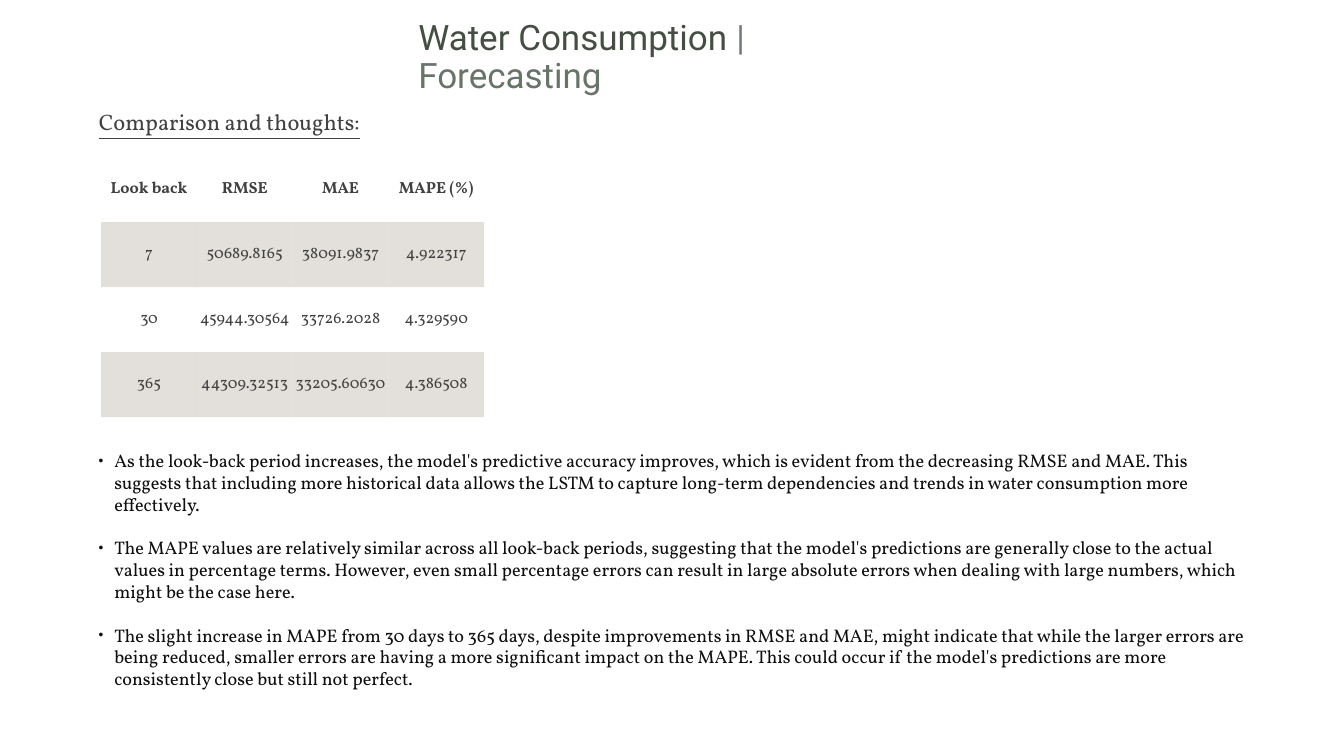
from dataclasses import dataclass

from lxml.etree import SubElement
from pptx import Presentation
from pptx.dml.color import RGBColor
from pptx.enum.text import MSO_ANCHOR, MSO_AUTO_SIZE, PP_ALIGN
from pptx.oxml.ns import qn
from pptx.util import Cm, Pt


@dataclass(frozen=True)
class Theme:
    heading_font: str = "Roboto"
    body_font: str = "Vollkorn"
    bullet_font: str = "Arial"
    title: str = "444E42"
    divider: str = "6F7D71"
    subtitle: str = "677468"
    text: str = "414141"
    body: str = "0F0F0F"
    band: str = "C9C3BA"
    title_size: int = 50
    section_size: int = 32
    body_size: int = 26
    table_size: int = 23


THEME = Theme()
INSET = Cm(0.15)
NO_STYLE_NO_GRID = "{2D5ABB26-0587-4C30-8999-92F81FD0307C}"


def write(p, text, size, color, font=THEME.body_font, bold=False, underline=False):
    r = p.add_run()
    r.text = text
    r.font.size = Pt(size)
    r.font.name = font
    r.font.color.rgb = RGBColor.from_string(color)
    r.font.bold = bold
    r.font.underline = underline


def add_text_frame(slide, left, top, width, height, wrap=True,
                   auto_size=MSO_AUTO_SIZE.SHAPE_TO_FIT_TEXT):
    tf = slide.shapes.add_textbox(Cm(left), Cm(top), Cm(width), Cm(height)).text_frame
    tf.margin_left = tf.margin_right = tf.margin_top = tf.margin_bottom = INSET
    tf.vertical_anchor = MSO_ANCHOR.MIDDLE
    tf.auto_size = auto_size
    tf.word_wrap = wrap
    return tf


prs = Presentation()
prs.slide_width, prs.slide_height = Cm(67.73), Cm(38.1)
slide = prs.slides.add_slide(prs.slide_layouts[6])

# Results table
results = [
    ("Look back", "RMSE", "MAE", "MAPE (%)"),
    ("7", "50689.8165", "38091.9837", "4.922317"),
    ("30", "45944.30564", "33726.2028", "4.329590"),
    ("365", "44309.32513", "33205.60630", "4.386508"),
]
frame = slide.shapes.add_table(
    len(results), len(results[0]), Cm(5.1), Cm(7.92), Cm(19.3), Cm(13.1))
frame.element.xpath(".//a:tableStyleId")[0].text = NO_STYLE_NO_GRID
table = frame.table
table.horz_banding = False

for i, values in enumerate(results):
    for j, value in enumerate(values):
        cell = table.cell(i, j)
        cell.margin_left = cell.margin_right = INSET
        cell.margin_top = cell.margin_bottom = INSET
        cell.vertical_anchor = MSO_ANCHOR.MIDDLE
        if i % 2:
            cell.fill.solid()
            cell.fill.fore_color.rgb = RGBColor.from_string(THEME.band)
            color = cell.fill._xPr.find(qn("a:solidFill"))[0]
            SubElement(color, qn("a:alpha"), val="50000")
        else:
            cell.fill.background()
        p = cell.text_frame.paragraphs[0]
        p.alignment = PP_ALIGN.CENTER
        write(p, value, THEME.table_size, THEME.text, bold=i == 0)

# Title
p = add_text_frame(slide, 20.93, 1.73, 23.34, 2.39).paragraphs[0]
p.line_spacing = 0.9
for text, color in [
    ("Water Consumption ", THEME.title),
    ("| ", THEME.divider),
    ("Forecasting", THEME.subtitle),
]:
    write(p, text, THEME.title_size, color, font=THEME.heading_font)

# Section heading
p = add_text_frame(slide, 4.7, 5.25, 13.72, 1.75, wrap=False).paragraphs[0]
p.alignment = PP_ALIGN.CENTER
write(p, "Comparison and thoughts:", THEME.section_size, THEME.text, underline=True)

# Findings
findings = [
    "As the look-back period increases, the model's predictive accuracy improves, which is "
    "evident from the decreasing RMSE and MAE. This suggests that including more historical "
    "data allows the LSTM to capture long-term dependencies and trends in water consumption "
    "more effectively.",
    "The MAPE values are relatively similar across all look-back periods, suggesting that the "
    "model's predictions are generally close to the actual values in percentage terms. "
    "However, even small percentage errors can result in large absolute errors when dealing "
    "with large numbers, which might be the case here.",
    "The slight increase in MAPE from 30 days to 365 days, despite improvements in RMSE and "
    "MAE, might indicate that while the larger errors are being reduced, smaller errors are "
    "having a more significant impact on the MAPE. This could occur if the model's "
    "predictions are more consistently close but still not perfect.",
]
tf = add_text_frame(slide, 4.82, 21.95, 58.2, 13.49, auto_size=MSO_AUTO_SIZE.NONE)
for i, finding in enumerate(findings):
    p = tf.add_paragraph() if i else tf.paragraphs[0]
    pPr = p._p.get_or_add_pPr()
    pPr.set("marL", str(Cm(0.79)))
    pPr.set("indent", str(-Cm(0.79)))
    SubElement(pPr, qn("a:buSzPct"), val="75000")
    SubElement(pPr, qn("a:buFont"), typeface=THEME.bullet_font)
    SubElement(pPr, qn("a:buChar"), char="•")
    p.space_before = Pt(31 if i else 0)
    write(p, finding, THEME.body_size, THEME.body)

prs.save("out.pptx")
